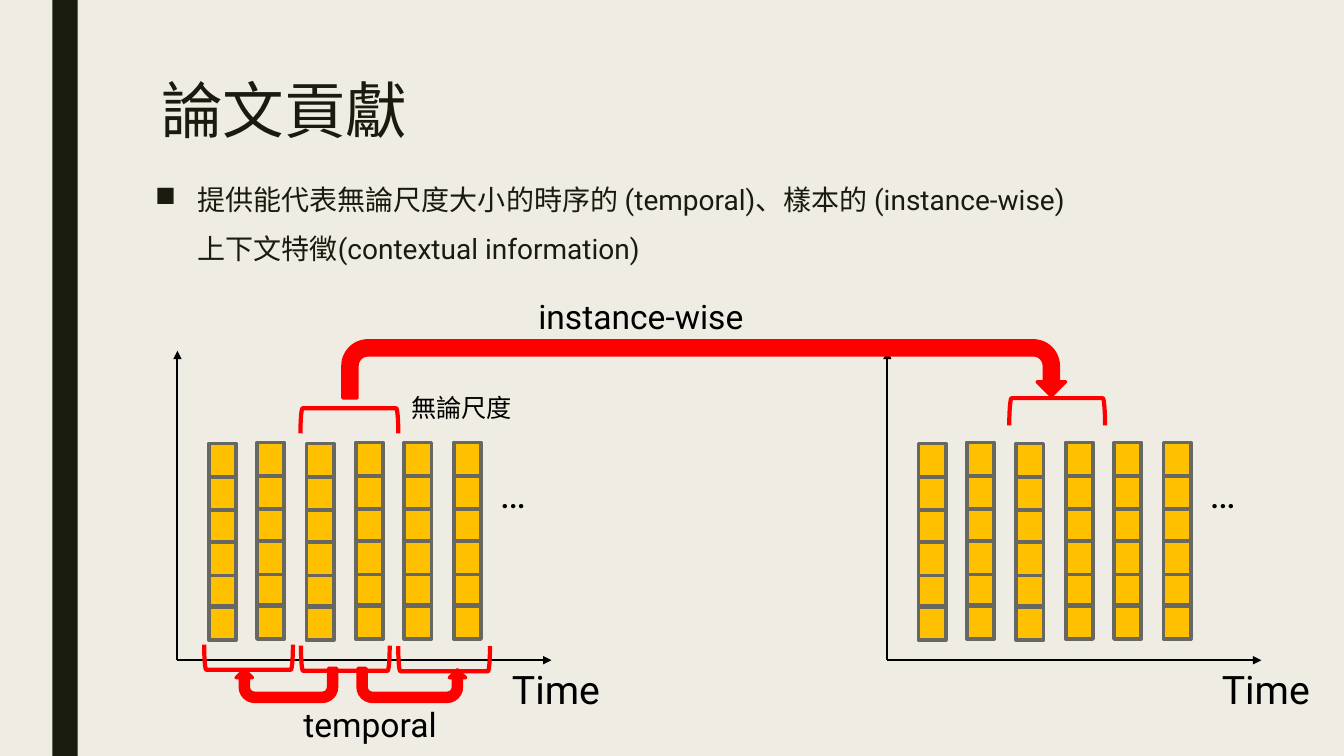
from lxml import etree
from pptx import Presentation
from pptx import util as u
from pptx.dml.color import RGBColor
from pptx.enum import shapes, text
from pptx.oxml import ns

SCALE = 9144  # EMU in one px, 100 px to the inch
FONT = "Roboto"
COLORS = {
    "background": "EFEDE3", "ink": "191B0E", "black": "000000",
    "cell": "FFC000", "cell_line": "686863", "red": "FF0000",
}
CELL_OFFSETS = (0, 33, 65, 98, 128, 162)
COLUMN_TOPS = (440, 439, 440, 439, 439, 439)
CELL_WIDTH, CELL_HEIGHT = 27, 33
UTURN_ADJUSTMENTS = (0.25, 0.25, 0.25, 0.438, 0.966)


def px(*lengths):
    return [u.Emu(length * SCALE) for length in lengths]


def color(name):
    return RGBColor.from_string(COLORS[name])


def apply_format(target, values):
    for name, value in values.items():
        setattr(target, name, value)


def add_xml(parent, tag, **attributes):
    return etree.SubElement(parent, ns.qn(tag), attributes)


def add_shape(parent, kind, box, fill=None, line=None, width=0, rotation=0,
              flip=False, adjustments=()):
    shape = parent.shapes.add_shape(kind, *px(*box))
    apply_format(shape, {"rotation": rotation})
    shape.shadow.inherit = False
    if fill:
        shape.fill.solid()
        shape.fill.fore_color.rgb = color(fill)
    else:
        shape.fill.background()
    if line:
        shape.line.color.rgb = color(line)
        shape.line.width = u.Pt(width)
    else:
        shape.line.fill.background()
    for index, value in enumerate(adjustments):
        shape.adjustments[index] = value
    if flip:
        shape._element.spPr.find(ns.qn("a:xfrm")).set("flipH", "1")
    return shape


def add_text(slide, box, lines, size, ink="black", grow=True, bullet=False, spacing=None):
    frame = slide.shapes.add_textbox(*px(*box)).text_frame
    apply_format(frame, {
        "word_wrap": True,
        "vertical_anchor": text.MSO_ANCHOR.TOP,
        "auto_size": text.MSO_AUTO_SIZE.SHAPE_TO_FIT_TEXT if grow else text.MSO_AUTO_SIZE.NONE,
    })
    for index, line in enumerate(lines):
        paragraph = frame.paragraphs[0] if index == 0 else frame.add_paragraph()
        if spacing:
            paragraph.line_spacing = spacing
        if bullet:
            apply_format(paragraph, {"space_before": u.Pt(10 if index else 0),
                                     "space_after": u.Pt(2)})
            indent = px(42)[0]
            properties = paragraph._p.get_or_add_pPr()
            properties.set("marL", str(indent))
            properties.set("indent", str(0 if index else -indent))
            if index == 0:
                add_xml(properties, "a:buChar", char="■")
        run = paragraph.add_run()
        run.text = line
        apply_format(run.font, {"name": FONT, "size": u.Pt(size)})
        run.font.color.rgb = color(ink)


def add_axis(slide, start, end):
    axis = slide.shapes.add_connector(shapes.MSO_CONNECTOR.STRAIGHT, *px(*start, *end))
    axis.line.color.rgb = color("black")
    axis.line.width = u.Pt(1.5)
    add_xml(axis.line._get_or_add_ln(), "a:tailEnd", type="triangle")
    add_xml(axis._element.spPr, "a:effectLst")


def add_series(slide, left):
    """Axes, six columns of cells and labels for one time series."""
    origin = (left, 655)
    add_axis(slide, origin, (left + 371, 655))
    add_axis(slide, origin, (left, 348))
    for index, top in enumerate(COLUMN_TOPS):
        column = slide.shapes.add_group_shape()
        x = left + 31 + index * 146 // 3
        for offset in reversed(CELL_OFFSETS):
            add_shape(column, shapes.MSO_SHAPE.RECTANGLE,
                      (x, top + offset, CELL_WIDTH, CELL_HEIGHT),
                      fill="cell", line="cell_line", width=2.75)
    add_text(slide, (left + 322, 655, 164, 57), ["Time"], 28)
    add_text(slide, (left + 310, 461, 164, 57), ["…"], 28)


def add_uturn(slide, box, **options):
    add_shape(slide, shapes.MSO_SHAPE.U_TURN_ARROW, box, fill="red", line="red",
              width=2.25, adjustments=UTURN_ADJUSTMENTS, **options)


def add_bracket(slide, box, flip=False):
    add_shape(slide, shapes.MSO_SHAPE.LEFT_BRACKET, box, line="red", width=3,
              rotation=90, flip=flip)


def main():
    presentation = Presentation()
    presentation.slide_width, presentation.slide_height = u.Inches(13.33), u.Inches(7.5)
    slide = presentation.slides.add_slide(presentation.slide_layouts[6])
    slide.background.fill.solid()
    slide.background.fill.fore_color.rgb = color("background")

    # Side bar, title and statement
    add_shape(slide, shapes.MSO_SHAPE.RECTANGLE, (52, 0, 25, 750), fill="ink")
    add_text(slide, (150, 75, 1050, 162), ["論文貢獻"], 44, "ink", grow=False, spacing=0.89)
    add_text(slide, (144, 179, 1201, 533),
             ["提供能代表無論尺度大小的時序的 (temporal)、樣本的 (instance-wise)",
              "上下文特徵(contextual information)"],
             20, "ink", grow=False, bullet=True, spacing=0.94)

    # Two time series
    for left in (176, 880):
        add_series(slide, left)

    # Instance-wise comparison
    add_text(slide, (524, 289, 248, 50), ["instance-wise"], 24)
    add_uturn(slide, (340, 338, 717, 57))
    add_bracket(slide, (334, 369, 25, 97))
    add_bracket(slide, (1035, 361, 27, 95))
    add_text(slide, (398, 384, 274, 40), ["無論尺度"], 18)

    # Temporal comparison
    add_uturn(slide, (355, 663, 107, 33), rotation=180, flip=True)
    add_uturn(slide, (234, 663, 100, 33), rotation=180)
    for box in ((330, 609, 25, 88), (428, 608, 25, 91), (234, 608, 25, 88)):
        add_bracket(slide, box, flip=True)
    add_text(slide, (291, 693, 248, 50), ["temporal"], 24)

    presentation.save("out.pptx")


if __name__ == "__main__":
    main()
